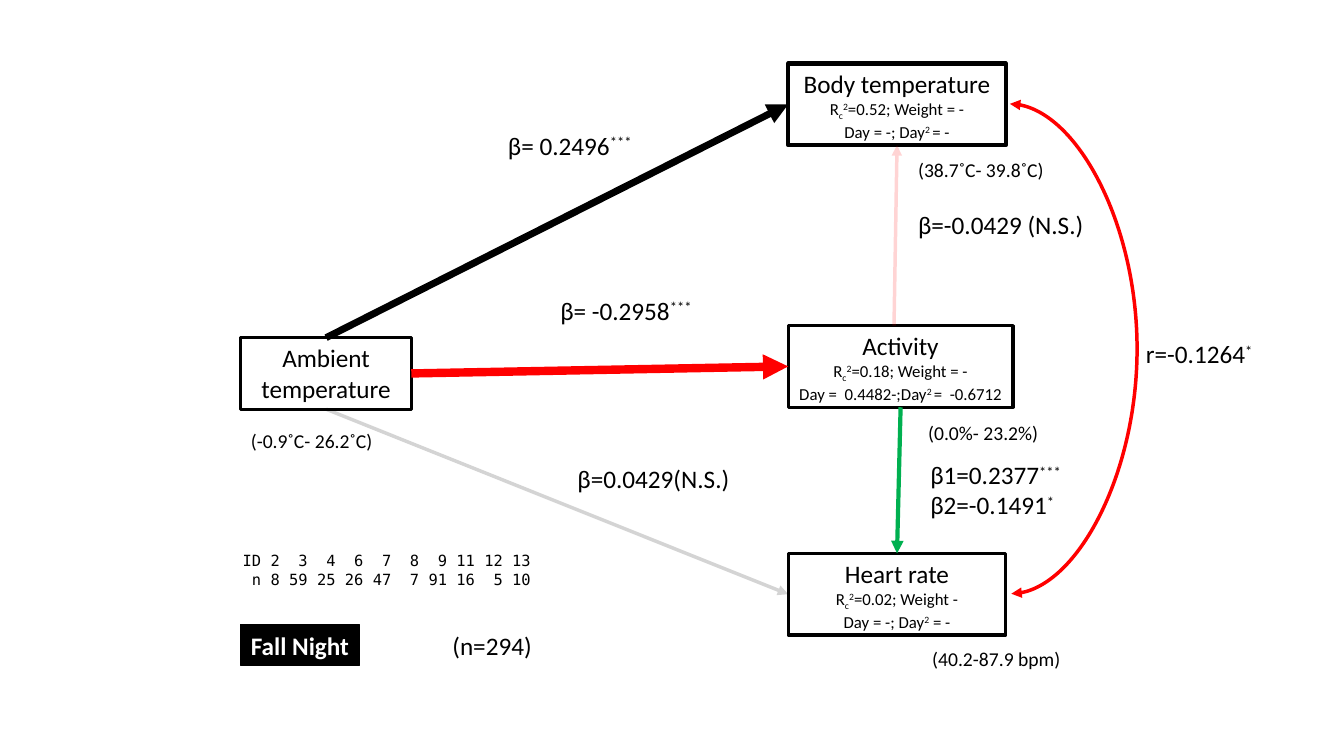
from lxml import etree
from pptx import Presentation
from pptx.dml.color import RGBColor
from pptx.enum.shapes import MSO_CONNECTOR as Connector, MSO_SHAPE as Shape
from pptx.enum.text import MSO_ANCHOR as Anchor, MSO_AUTO_SIZE as AutoSize, PP_ALIGN as Align
from pptx.oxml.ns import qn
from pptx.util import Pt

COLORS = {"black": "000000", "white": "FFFFFF", "red": "FF0000", "green": "00B050"}
SUP, SUB = 30000, -25000
TOP, LEFT, BOTTOM, RIGHT = range(4)
FAINT = 16  # percent opacity of the paths that are not significant

# Content: a run is plain text or (text, baseline)
R_SQUARED = ["R", ("c", SUB), ("2", SUP)]
# name: (left, top, width, height), line width, title, detail lines
BOXES = {
    "ambient": ((172.1, 241.2, 121.7, 51.1), 2.25, "Ambient temperature", []),
    "activity": ((563, 232.6, 160.6, 58.3), 2.25, "Activity", [
        R_SQUARED + ["=0.18; Weight = -"],
        ["Day =  0.4482-;Day", ("2 ", SUP), "=  -0.6712"]]),
    "heart": ((563, 395.3, 155.5, 58.3), 2.25, "Heart rate", [
        R_SQUARED + ["=0.02; Weight -"],
        ["Day = -; Day", ("2", SUP), " = -"]]),
    "body": ((563, 45.4, 155.5, 58.3), 3, "Body temperature", [
        R_SQUARED + ["=0.52; Weight = -"],
        ["Day = -; Day", ("2 ", SUP), "= -"]]),
}
# from (box, side), to (box, side), colour, width, opacity
PATHS = [
    (("ambient", RIGHT), ("activity", LEFT), "red", 6, 100),
    (("activity", BOTTOM), ("heart", TOP), "green", 3, 100),
    (("ambient", TOP), ("body", LEFT), "black", 5, 100),
    (("ambient", BOTTOM), ("heart", LEFT), "black", 2.5, FAINT),
]
ACTIVITY_TO_BODY_START = (638.6, 232.6)
CORRELATION = (721.4, 74.2, 722.4, 424.1)
CORRELATION_BULGE = 91.55  # in multiples of the connector's width

# left, top, width, height, size, lines
LABELS = [
    (657.4, 324.7, 111.6, 51.1, 18,
     [["β1=0.2377", ("***", SUP)], ["β2=-0.1491", ("*", SUP)]]),
    (393.1, 207.4, 111.6, 28.8, 18, [["β= -0.2958", ("***", SUP)]]),
    (355.7, 89.3, 106.6, 28.8, 18, [["β= 0.2496", ("***", SUP)]]),
    (405.4, 327.6, 124.6, 28.8, 18, [["β=0.0429(N.S.)"]]),
    (648.7, 146.2, 133.9, 28.8, 18, [["β=-0.0429 (N.S.)"]]),
    (811.4, 238.3, 95, 28.8, 18, [["r=-0.1264", ("*", SUP)]]),
    (316.1, 446.4, 72, 28.8, 18, [["(n=294)"]]),
    (172.1, 303.1, 102.2, 24.5, 14, [["(-0.9˚C- 26.2˚C)"]]),
    (648.7, 109.4, 105.1, 24.5, 14, [["(38.7˚C- 39.8˚C)"]]),
    (655.9, 297.4, 93.6, 24.5, 14, [["(0.0%- 23.2%)"]]),
    (658.8, 458.6, 107.3, 24.5, 14, [["(40.2-87.9 bpm)"]]),
]
SEASON = (172.1, 446.4, 85, 28.8, "Fall Night")
SAMPLES = (166.3, 390.2, 309.6, 33.8, [
    ["ID 2  3  4  6  7  8  9 11 12 13"],
    [" n 8 59 25 26 47  7 91 16  5 10"]])

presentation = Presentation()
presentation.slide_width, presentation.slide_height = Pt(960), Pt(540)
slide = presentation.slides.add_slide(presentation.slide_layouts[6])


def rgb(color):
    return RGBColor.from_string(COLORS[color])


def write(shape, lines, align=Align.LEFT, color="black", font="Calibri",
          bold=False, wrap=False, anchor=Anchor.TOP):
    """Fill a shape with lines, each a (size, runs) pair."""
    frame = shape.text_frame
    frame.word_wrap = wrap
    frame.auto_size = AutoSize.SHAPE_TO_FIT_TEXT
    frame.vertical_anchor = anchor
    for index, (size, runs) in enumerate(lines):
        paragraph = frame.add_paragraph() if index else frame.paragraphs[0]
        paragraph.alignment = align
        for item in runs:
            text, baseline = (item, 0) if isinstance(item, str) else item
            run = paragraph.add_run()
            run.text = text
            run.font.name, run.font.size, run.font.bold = font, Pt(size), bold
            run.font.color.rgb = rgb(color)
            if baseline:
                run.font._element.set("baseline", str(baseline))


def add_box(place, line_width, fill=None):
    shape = slide.shapes.add_shape(Shape.RECTANGLE, *map(Pt, place))
    shape.shadow.inherit = False
    if fill:
        shape.fill.solid()
        shape.fill.fore_color.rgb = rgb(fill)
    else:
        shape.fill.background()
    shape.line.color.rgb = rgb("black")
    shape.line.width = Pt(line_width)
    return shape


def add_arrow(kind, points, color, width, opacity=100, ends=("tailEnd",)):
    arrow = slide.shapes.add_connector(kind, *map(Pt, points))
    arrow.line.color.rgb = rgb(color)
    arrow.line.width = Pt(width)
    line = arrow.line._get_or_add_ln()
    if opacity < 100:
        alpha = etree.SubElement(line.find(".//" + qn("a:srgbClr")), qn("a:alpha"))
        alpha.set("val", str(opacity * 1000))
    for end in ends:
        etree.SubElement(line, qn("a:" + end)).set("type", "triangle")
    etree.SubElement(arrow._element.spPr, qn("a:effectLst"))
    return arrow


# Variable boxes
boxes = {}
for name, (place, line_width, title, details) in BOXES.items():
    boxes[name] = add_box(place, line_width)
    lines = [(18, [title])] + [(12, runs) for runs in details]
    write(boxes[name], lines, Align.CENTER, wrap=True)

# Paths between boxes
for (source, source_side), (target, target_side), color, width, opacity in PATHS:
    arrow = add_arrow(Connector.STRAIGHT, (0, 0, 0, 0), color, width, opacity)
    arrow.begin_connect(boxes[source], source_side)
    arrow.end_connect(boxes[target], target_side)

arrow = add_arrow(Connector.STRAIGHT, ACTIVITY_TO_BODY_START * 2, "red", 2.5, FAINT)
arrow.end_connect(boxes["body"], BOTTOM)

# Curved correlation arrow
curve = add_arrow(Connector.CURVE, CORRELATION, "red", 2.5,
                  ends=("headEnd", "tailEnd"))
guide = etree.SubElement(curve._element.spPr.find(".//" + qn("a:avLst")), qn("a:gd"))
guide.set("name", "adj1")
guide.set("fmla", f"val {round(CORRELATION_BULGE * 100000)}")

# Coefficients and ranges
for *place, size, lines in LABELS:
    label = slide.shapes.add_textbox(*map(Pt, place))
    write(label, [(size, runs) for runs in lines])

# Season tag and sample counts
*place, season = SEASON
write(add_box(place, 0.75, "black"), [(18, [season])], color="white", bold=True)

*place, rows = SAMPLES
samples = slide.shapes.add_textbox(*map(Pt, place))
write(samples, [(11, runs) for runs in rows], font="DejaVu Sans Mono", wrap=True)

presentation.save("out.pptx")
